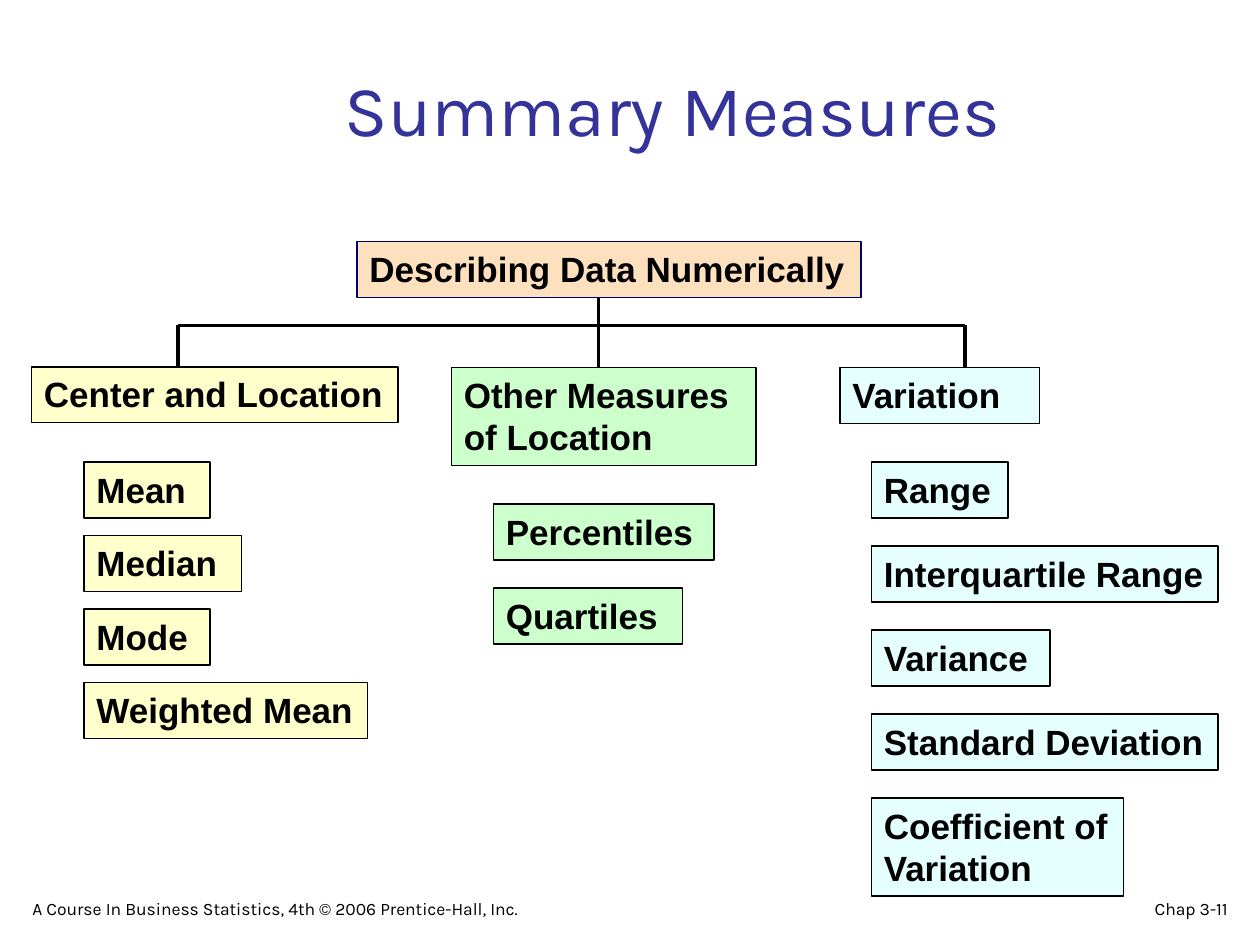
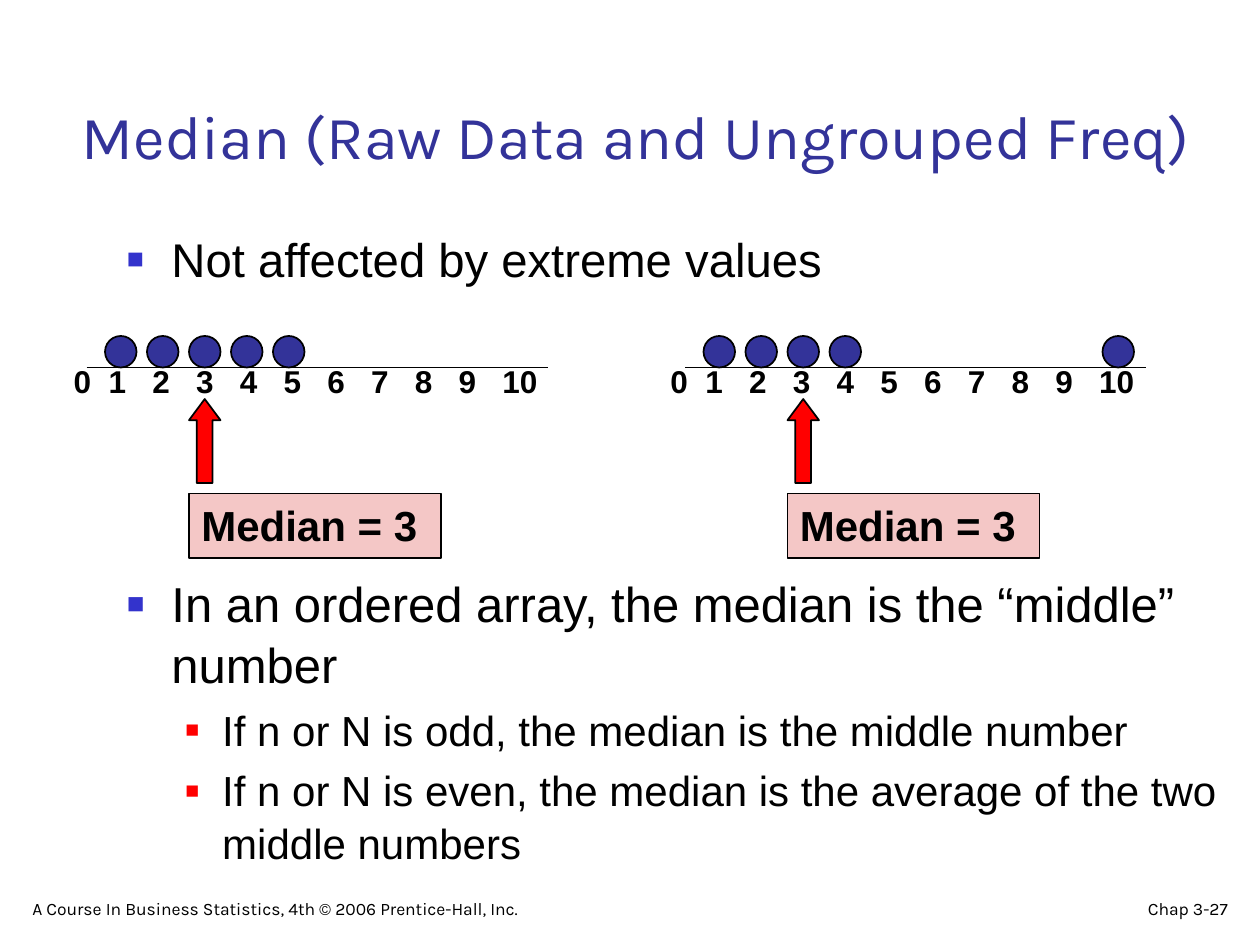
from lxml.etree import SubElement
from pptx import Presentation
from pptx.dml.color import RGBColor
from pptx.enum.shapes import MSO_CONNECTOR, MSO_SHAPE
from pptx.enum.text import MSO_ANCHOR, PP_ALIGN
from pptx.oxml.ns import qn
from pptx.util import Pt

BLACK = RGBColor(0, 0, 0)
NAVY = RGBColor(0x33, 0x33, 0x99)
DARK = RGBColor(0, 0, 0x66)
BLUE = RGBColor(0x33, 0x33, 0xCC)
RED = RGBColor(0xFF, 0, 0)
PEACH = RGBColor(0xFD, 0xE0, 0xBD)
CREAM = RGBColor(0xFF, 0xFF, 0xCC)
MINT = RGBColor(0xCC, 0xFF, 0xCC)
ICE = RGBColor(0xE5, 0xFF, 0xFF)
PINK = RGBColor(0xF4, 0xC7, 0xC6)

COURSE = "A Course In Business Statistics, 4th © 2006 Prentice-Hall, Inc."

GROUPS = [
    ("Center and Location", (18, 209.5, 209.5, 32), 48, 264, 42, CREAM,
     [("Mean", 72), ("Median", 90), ("Mode", 72), ("Weighted Mean", 162)]),
    ("Other Measures of Location", (258, 210, 174, 56), 282, 288, 48, MINT,
     [("Percentiles", 126), ("Quartiles", 108)]),
    ("Variation", (480, 210, 114, 32), 498, 264, 48, ICE,
     [("Range", 78), ("Interquartile Range", 198), ("Variance", 102),
      ("Standard Deviation", 198), ("Coefficient of Variation", 144)]),
]


def write(frame, text, size=20, font="Arial", color=BLACK, bold=False,
          align=PP_ALIGN.LEFT, anchor=MSO_ANCHOR.TOP, side=7.2, space=None,
          tabs=(), bullet=None, more=False):
    frame.word_wrap = True
    frame.vertical_anchor = anchor
    frame.margin_left = frame.margin_right = Pt(side)
    frame.margin_top = frame.margin_bottom = Pt(3.6)
    para = frame.add_paragraph() if more else frame.paragraphs[0]
    para.alignment = align
    if space:
        para.line_spacing = space
    if more:
        para.space_before = Pt(size * 0.2)
    if bullet:
        mark(para, *bullet)
    if tabs:
        stops = SubElement(para._p.get_or_add_pPr(), qn("a:tabLst"))
        for stop in tabs:
            SubElement(stops, qn("a:tab"), pos=str(Pt(stop)), algn="l")
    run = para.add_run()
    run.text = text
    run.font.size = Pt(size)
    run.font.name = font
    run.font.bold = bold
    run.font.color.rgb = color


def mark(para, color, scale, left, hang):
    props = para._p.get_or_add_pPr()
    props.set("marL", str(Pt(left)))
    props.set("indent", str(-Pt(hang)))
    tint = SubElement(props, qn("a:buClr"))
    SubElement(tint, qn("a:srgbClr"), val=str(color))
    SubElement(props, qn("a:buSzPct"), val=str(scale * 1000))
    SubElement(props, qn("a:buFont"), typeface="Arial")
    SubElement(props, qn("a:buChar"), char="■")


def label(slide, area, text, **style):
    frame = slide.shapes.add_textbox(*map(Pt, area)).text_frame
    write(frame, text, **style)
    return frame


def figure(slide, kind, area, fill, edge=BLACK):
    shape = slide.shapes.add_shape(kind, *map(Pt, area))
    shape.shadow.inherit = False
    shape.fill.solid()
    shape.fill.fore_color.rgb = fill
    shape.line.color.rgb = edge
    shape.line.width = Pt(1)
    return shape


def box(slide, area, text, fill, edge=BLACK, size=20):
    shape = figure(slide, MSO_SHAPE.RECTANGLE, area, fill, edge)
    write(shape.text_frame, text, size=size, bold=True)


def rule(slide, ends, width):
    line = slide.shapes.add_connector(MSO_CONNECTOR.STRAIGHT, *map(Pt, ends))
    line.line.color.rgb = BLACK
    line.line.width = Pt(width)
    SubElement(line._element.spPr, qn("a:effectLst"))


def start(deck, title, area, size, page, space=None):
    slide = deck.slides.add_slide(deck.slide_layouts[6])
    foot = dict(size=10, font="Karla", anchor=MSO_ANCHOR.BOTTOM, side=6.5)
    label(slide, (558, 504, 150, 24.5), page, align=PP_ALIGN.RIGHT, **foot)
    label(slide, (12, 504, 366, 25), COURSE, **foot)
    label(slide, area, title, size=size, font="Karla", color=NAVY, side=6.5,
          align=PP_ALIGN.CENTER, anchor=MSO_ANCHOR.BOTTOM, space=space)
    return slide


def tree(deck):
    slide = start(deck, "Summary Measures", (78, 30, 613, 60), 41,
                  "Chap 3-11", 1.1)
    for ends in [(101.5, 186, 101.5, 227), (342, 162, 342, 249),
                 (101.5, 186, 551.5, 186), (551.5, 186, 551.5, 223)]:
        rule(slide, ends, 2.25)
    box(slide, (204, 138, 288, 32), "Describing Data Numerically", PEACH, DARK)
    for head, area, left, top, step, fill, items in GROUPS:
        box(slide, area, head, fill)
        for row, (name, width) in enumerate(items):
            high = 56 if name.startswith("Coefficient") else 32
            box(slide, (left, top + row * step, width, high), name, fill)


def scale(slide, left, text, dots):
    rule(slide, (left, 210, left + 263.5, 210), 1)
    label(slide, (text, 203.5, 314, 29), "\t".join(map(str, range(11))),
          size=18, bold=True, tabs=[20 + 25 * n for n in range(10)])
    for dot in dots:
        figure(slide, MSO_SHAPE.OVAL,
               (left - 13.5 + 24 * dot, 192, 18, 18), NAVY)
    arrow = figure(slide, MSO_SHAPE.RIGHT_ARROW,
                   (left + 43.5, 243, 48, 18), RED)
    arrow.rotation = 270
    arrow.adjustments[1] = 0.67
    box(slide, (left + 58.5, 282, 144, 37), "Median = 3", PINK, size=24)


def median(deck):
    slide = start(deck, "Median (Raw Data and Ungrouped Freq)",
                  (35, 30, 657, 72), 35, "Chap 3-27")
    main = dict(side=6.5, bullet=(BLUE, 60, 25.5, 25.5))
    sub = dict(side=6.5, size=24, space=1.04, more=True,
               bullet=(RED, 55, 54.5, 21))
    label(slide, (66, 128, 636, 40), "Not affected by extreme values",
          size=27, **main)
    body = label(slide, (66, 323, 636, 172),
                 "In an ordered array, the median is the “middle” number",
                 size=28, space=1.04, **main)
    write(body, "If n or N is odd, the median is the middle number", **sub)
    write(body, "If n or N is even, the median is the average of the "
          "two middle numbers", **sub)
    scale(slide, 49.5, 35, (1, 2, 3, 4, 5))
    scale(slide, 391.5, 376, (1, 2, 3, 4, 10.5))


def main():
    deck = Presentation()
    deck.slide_width, deck.slide_height = Pt(720), Pt(540)
    tree(deck)
    median(deck)
    deck.save("out.pptx")


if __name__ == "__main__":
    main()
